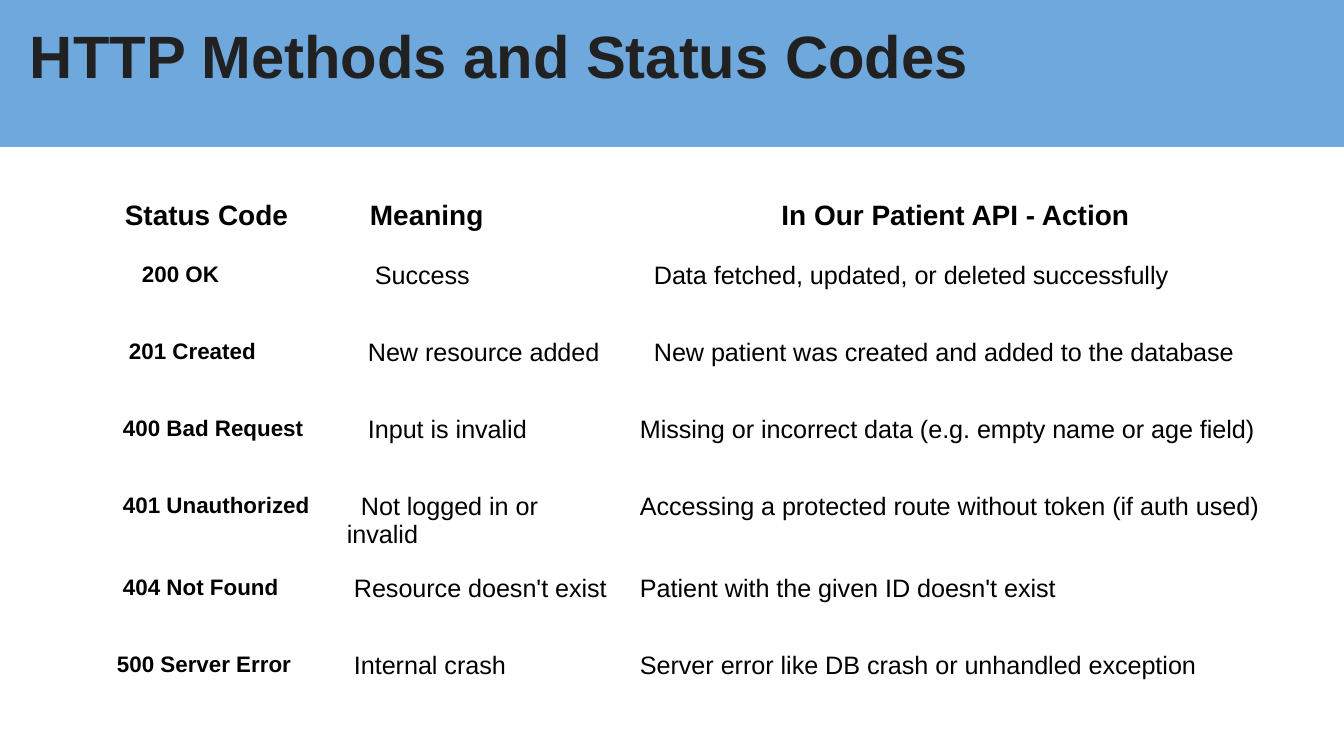
from dataclasses import dataclass

from pptx import Presentation
from pptx import util as u
from pptx.dml.color import RGBColor
from pptx.enum import shapes, text

EMU_PER_PX = 9144000 / 1344


@dataclass(frozen=True)
class Theme:
    """Colours, font and type sizes of the slide."""
    banner: str = "6FA8DC"
    heading: str = "212121"
    body: str = "000000"
    font: str = "Arial"
    heading_size: float = 32
    header_size: float = 15
    code_size: float = 12
    body_size: float = 13.5


THEME = Theme()
COLUMNS = (255, 293, 657)
HEADER_HEIGHT, ROW_HEIGHT = 66, 77
INSET = 13

HEADERS = (
    ("Status Code", 0, True),
    ("Meaning", 23, False),
    ("In Our Patient API - Action", 0, True),
)
STATUS_ROWS = (
    (("200 OK", 50), ("Success", 28),
     ("Data fetched, updated, or deleted successfully", 14)),
    (("201 Created", 37), ("New resource added", 21),
     ("New patient was created and added to the database", 14)),
    (("400 Bad Request", 31), ("Input is invalid", 21),
     ("Missing or incorrect data (e.g. empty name or age field)", 0)),
    (("401 Unauthorized", 31), ("Not logged in or invalid", 14),
     ("Accessing a protected route without token (if auth used)", 0)),
    (("404 Not Found", 31), ("Resource doesn't exist", 7),
     ("Patient with the given ID doesn't exist", 0)),
    (("500 Server Error", 25), ("Internal crash", 7),
     ("Server error like DB crash or unhandled exception", 0)),
)


def px(length):
    """Turn pixels into EMU."""
    return u.Emu(round(length * EMU_PER_PX))


def write(frame, words, *, size, color=THEME.body, bold=False, centered=False,
          indent=0, spacing=1.0):
    """Write one formatted paragraph with a first-line indent."""
    paragraph = frame.paragraphs[0]
    paragraph.alignment = text.PP_ALIGN.CENTER if centered else text.PP_ALIGN.LEFT
    paragraph.line_spacing = spacing
    properties = paragraph._p.get_or_add_pPr()
    properties.set("marL", "0")
    properties.set("indent", str(px(indent)))
    run = paragraph.add_run()
    run.text = words
    run.font.name = THEME.font
    run.font.size = u.Pt(size)
    run.font.bold = bold
    run.font.color.rgb = RGBColor.from_string(color)


def set_insets(holder, top=INSET):
    """Give a cell or text frame its inner margins."""
    holder.margin_left = holder.margin_right = holder.margin_bottom = px(INSET)
    holder.margin_top = px(top)


def add_banner(slide, words):
    """Add the full-width title banner."""
    banner = slide.shapes.add_shape(
        shapes.MSO_SHAPE.RECTANGLE, 0, 0, px(1344), px(147))
    banner.shadow.inherit = False
    banner.fill.solid()
    banner.fill.fore_color.rgb = RGBColor.from_string(THEME.banner)
    banner.line.fill.background()
    frame = banner.text_frame
    frame.word_wrap = True
    frame.vertical_anchor = text.MSO_ANCHOR.TOP
    set_insets(frame, top=19)
    write(frame, words, size=THEME.heading_size, color=THEME.heading,
          bold=True, indent=17)


def fill_cell(cell, words, **style):
    """Clear the cell background and write its words."""
    cell.fill.background()
    set_insets(cell)
    write(cell.text_frame, words, **style)


def add_status_table(slide):
    """Add the table of status codes, meanings and actions."""
    height = HEADER_HEIGHT + ROW_HEIGHT * len(STATUS_ROWS)
    table = slide.shapes.add_table(
        len(STATUS_ROWS) + 1, len(COLUMNS),
        px(79), px(183), px(sum(COLUMNS)), px(height)).table
    table.first_row = table.horz_banding = False
    for column, width in zip(table.columns, COLUMNS):
        column.width = px(width)
    for number, row in enumerate(table.rows):
        row.height = px(ROW_HEIGHT if number else HEADER_HEIGHT)

    for column, (words, indent, centered) in enumerate(HEADERS):
        fill_cell(table.cell(0, column), words, size=THEME.header_size,
                  bold=True, centered=centered, indent=indent, spacing=1.15)
    for number, entries in enumerate(STATUS_ROWS, start=1):
        for column, (words, indent) in enumerate(entries):
            is_code = column == 0
            fill_cell(table.cell(number, column), words, bold=is_code,
                      size=THEME.code_size if is_code else THEME.body_size,
                      indent=indent)


def main():
    """Build and save the slide."""
    deck = Presentation()
    deck.slide_width, deck.slide_height = px(1344), px(756)
    slide = deck.slides.add_slide(deck.slide_layouts[6])
    add_banner(slide, "HTTP Methods and Status Codes")
    add_status_table(slide)
    deck.save("out.pptx")


if __name__ == "__main__":
    main()
